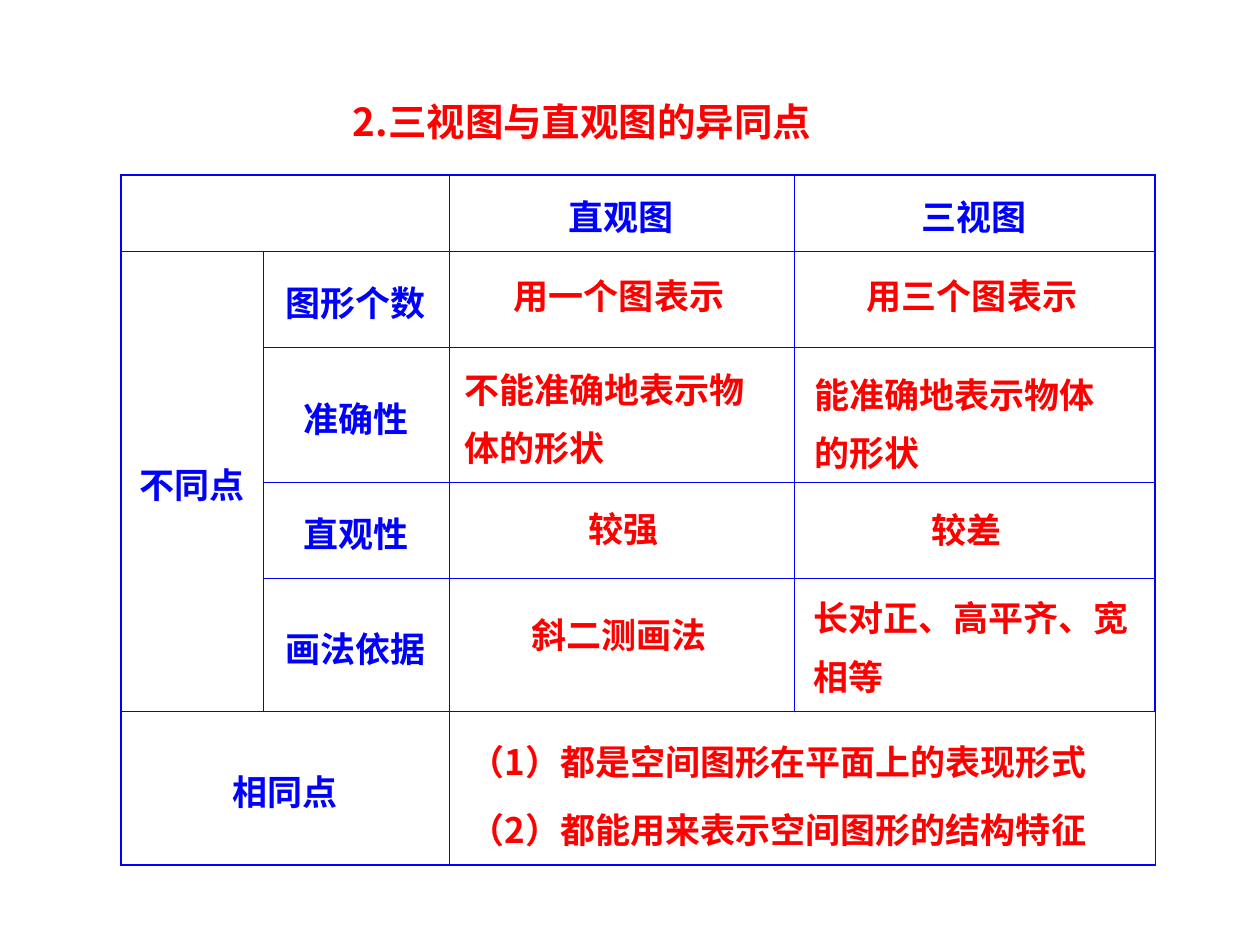
from lxml.etree import SubElement
from pptx import Presentation
from pptx.dml.color import RGBColor
from pptx.enum.text import MSO_ANCHOR, MSO_AUTO_SIZE, PP_ALIGN
from pptx.oxml.ns import qn
from pptx.util import Emu, Pt

SCALE = 914400 / 126
FONT = "Noto Sans CJK SC"
RED = RGBColor(0xFF, 0x00, 0x00)
BLUE = RGBColor(0x00, 0x00, 0xFF)
THIN, THICK = Pt(0.45), Pt(1.08)
TABLE_BOX = (121, 175, 1034, 690)
COLS = (142, 186, 345, 361)
ROWS = (76, 96, 135, 96, 133, 154)
MERGES = ((0, 0, 0, 1), (1, 0, 4, 0), (5, 0, 5, 1), (5, 2, 5, 3))
LABELS = {
    (0, 2): "直观图", (0, 3): "三视图", (1, 0): "不同点",
    (1, 1): "图形个数", (2, 1): "准确性", (3, 1): "直观性",
    (4, 1): "画法依据", (5, 0): "相同点",
}
SHORT_ANSWERS = (
    ((451, 268, 336, 55), "用一个图表示"),
    ((804, 268, 336, 55), "用三个图表示"),
    ((456, 501, 336, 55), "较强"),
    ((799, 502, 336, 55), "较差"),
    ((451, 607, 336, 55), "斜二测画法"),
)
LONG_ANSWERS = (
    ((452, 345, 336, 131), ("不能准确地表示物体的形状",)),
    ((802, 350, 336, 131), ("能准确地表示物体的形状",)),
    ((801, 574, 354, 131), ("长对正、高平齐、宽相等",)),
    ((457, 718, 699, 140), ("（1）都是空间图形在平面上的表现形式",
                            "（2）都能用来表示空间图形的结构特征")),
)


def px(n):
    """Turn pixels into EMU."""
    return Emu(round(n * SCALE))


def write(tf, lines, color, size=20, align=PP_ALIGN.CENTER, spacing=1.0):
    """Fill a text frame with one bold paragraph for each line."""
    tf.word_wrap = True
    for i, line in enumerate(lines):
        p = tf.add_paragraph() if i else tf.paragraphs[0]
        p.alignment = align
        p.line_spacing = spacing
        p.space_before = Pt(5 if i else 0)
        r = p.add_run()
        r.text = line
        r.font.name, r.font.size, r.font.bold = FONT, Pt(size), True
        r.font.color.rgb = color
        SubElement(r.font._element, qn("a:ea"), typeface=FONT)


def add_title(s, box):
    """Place the heading in the title placeholder."""
    sp = s.shapes.title
    sp.left, sp.top, sp.width, sp.height = map(px, box)
    tf = sp.text_frame
    tf.auto_size = MSO_AUTO_SIZE.NONE
    tf.vertical_anchor = MSO_ANCHOR.TOP
    write(tf, ["2.三视图与直观图的异同点"], RED, size=22, spacing=1.4)


def add_answer(s, box, lines, **style):
    """Place one red answer in its box."""
    tf = s.shapes.add_textbox(*map(px, box)).text_frame
    write(tf, lines, RED, **style)


def set_borders(cell, row, col):
    """Draw blue cell borders, thicker along the table's edge."""
    edges = {"L": col == 0, "R": col == len(COLS) - 1,
             "T": row == 0, "B": row == len(ROWS) - 1}
    tc_pr = cell._tc.get_or_add_tcPr()
    for side, outer in edges.items():
        ln = SubElement(tc_pr, qn(f"a:ln{side}"), w=str(THICK if outer else THIN))
        fill = SubElement(ln, qn("a:solidFill"))
        SubElement(fill, qn("a:srgbClr"), val=str(BLUE))


def add_comparison(s, box):
    """Build the comparison grid with its blue labels."""
    table = s.shapes.add_table(len(ROWS), len(COLS), *map(px, box)).table
    table.first_row = table.horz_banding = False
    for column, width in zip(table.columns, COLS):
        column.width = px(width)
    for i, height in enumerate(ROWS):
        table.rows[i].height = px(height)
        for j in range(len(COLS)):
            cell = table.cell(i, j)
            set_borders(cell, i, j)
            cell.fill.background()
            cell.vertical_anchor = MSO_ANCHOR.MIDDLE
    for top, left, bottom, right in MERGES:
        table.cell(top, left).merge(table.cell(bottom, right))
    for (i, j), label in LABELS.items():
        write(table.cell(i, j).text_frame, [label], BLUE, spacing=1.1)


def main():
    """Build and save the slide."""
    prs = Presentation()
    prs.slide_width, prs.slide_height = px(1260), px(945)
    s = prs.slides.add_slide(prs.slide_layouts[5])
    add_title(s, (129, 73, 906, 78))
    add_comparison(s, TABLE_BOX)
    for box, text in SHORT_ANSWERS:
        add_answer(s, box, [text])
    for box, lines in LONG_ANSWERS:
        add_answer(s, box, lines, align=PP_ALIGN.LEFT, spacing=1.4)
    prs.save("out.pptx")


if __name__ == "__main__":
    main()
